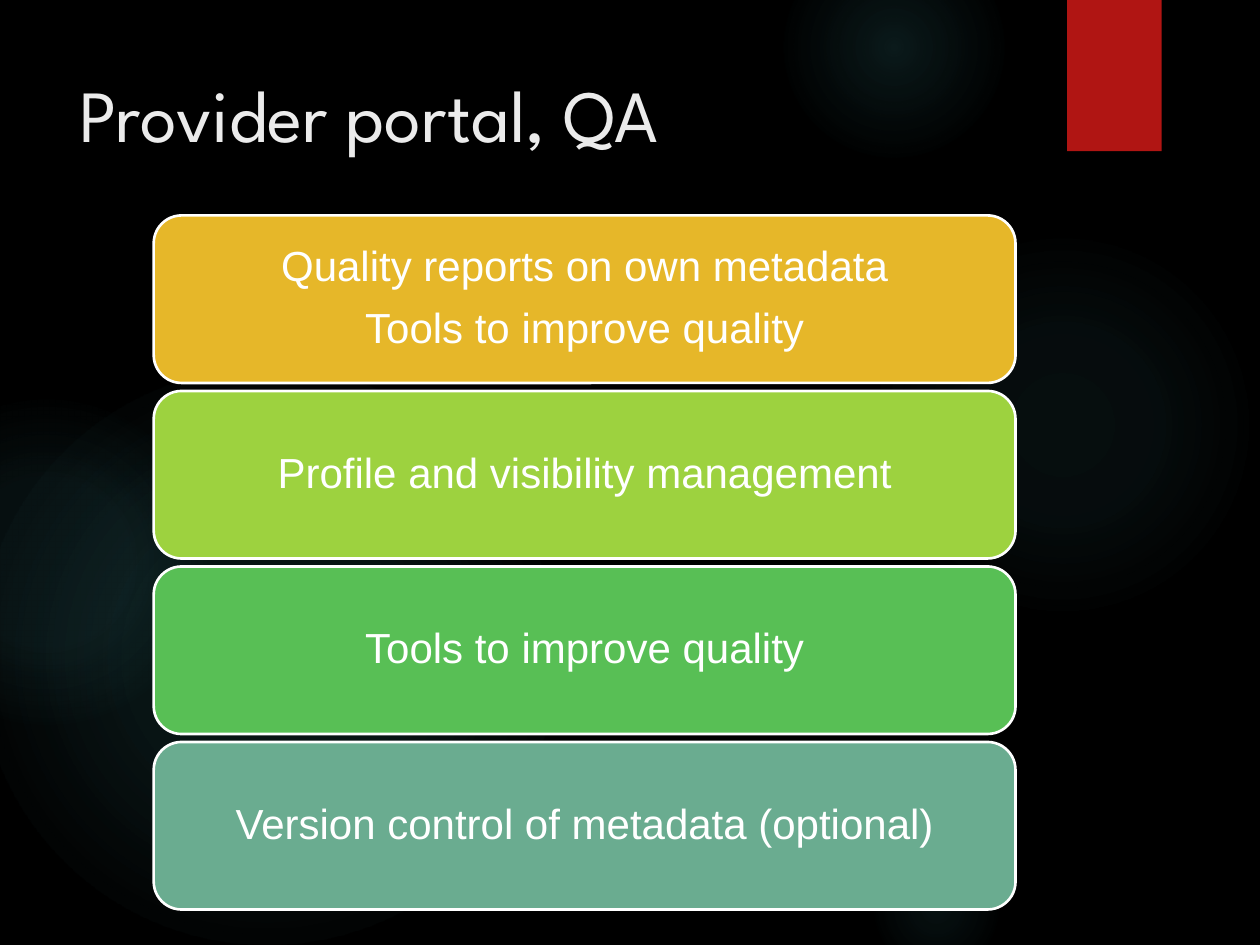
from typing import NamedTuple

import pptx
import pptx.dml.color
import pptx.enum.shapes
import pptx.enum.text
import pptx.oxml
import pptx.oxml.ns
import pptx.util

Inches = pptx.util.Inches
Pt = pptx.util.Pt
SHAPE = pptx.enum.shapes.MSO_SHAPE
ANCHOR = pptx.enum.text.MSO_ANCHOR
ALIGN = pptx.enum.text.PP_ALIGN

GLOW_COLOR = "50B9C1"
WHITE = "FFFFFF"


class Glow(NamedTuple):
    left: float
    top: float
    size: float
    stops: tuple[tuple[int, int], ...]  # (position %, opacity %)


class Feature(NamedTuple):
    color: str
    lines: tuple[str, ...]


GLOWS = [
    Glow(6.89, 1.83, 3.08, ((0, 7), (36, 6), (69, 0))),
    Glow(6.22, -0.5, 1.75, ((0, 14), (36, 7), (73, 0))),
    Glow(6.89, 6.67, 1.08, ((0, 9), (36, 5), (66, 0))),
    Glow(-0.17, 2.92, 4.58, ((0, 11), (36, 10), (75, 0))),
    Glow(-0.92, 3.17, 2.58, ((0, 8), (36, 8), (72, 0))),
]

FEATURES = [
    Feature("E6B729", ("Quality reports on own metadata", "Tools to improve quality")),
    Feature("9DD23F", ("Profile and visibility management",)),
    Feature("58BF55", ("Tools to improve quality",)),
    Feature("6AAC90", ("Version control of metadata (optional)",)),
]
FEATURE_LEFT, FEATURE_TOP = 1.22, 1.71
FEATURE_WIDTH, FEATURE_HEIGHT = 6.84, 1.33
FEATURE_PITCH = 1.393


def rgb(color: str) -> pptx.dml.color.RGBColor:
    return pptx.dml.color.RGBColor.from_string(color)


def add_block(slide, kind, left: float, top: float, width: float, height: float):
    block = slide.shapes.add_shape(
        kind, Inches(left), Inches(top), Inches(width), Inches(height))
    block.shadow.inherit = False
    block.line.fill.background()
    return block


def add_run(paragraph, text: str, font: str, size: float, color: str) -> None:
    run = paragraph.add_run()
    run.text = text
    run.font.name = font
    run.font.size = Pt(size)
    run.font.color.rgb = rgb(color)


def draw_glow(slide, glow: Glow) -> None:
    ellipse = add_block(slide, SHAPE.OVAL, glow.left, glow.top, glow.size, glow.size)
    stops = "".join(
        f'<a:gs pos="{position * 1000}"><a:srgbClr val="{GLOW_COLOR}">'
        f'<a:alpha val="{opacity * 1000}"/></a:srgbClr></a:gs>'
        for position, opacity in glow.stops)
    gradient = pptx.oxml.parse_xml(
        f'<a:gradFill {pptx.oxml.ns.nsdecls("a")} rotWithShape="1">'
        f'<a:gsLst>{stops}</a:gsLst><a:path path="circle">'
        '<a:fillToRect l="50000" t="50000" r="50000" b="50000"/>'
        '</a:path></a:gradFill>')
    geometry = ellipse._element.spPr.find(pptx.oxml.ns.qn("a:prstGeom"))
    geometry.addnext(gradient)


def draw_feature(slide, feature: Feature, top: float) -> None:
    card = add_block(slide, SHAPE.ROUNDED_RECTANGLE,
                     FEATURE_LEFT, top, FEATURE_WIDTH, FEATURE_HEIGHT)
    card.fill.solid()
    card.fill.fore_color.rgb = rgb(feature.color)
    card.line.color.rgb = rgb(WHITE)
    card.line.width = Pt(1.5)

    frame = card.text_frame
    frame.word_wrap = True
    frame.vertical_anchor = ANCHOR.MIDDLE
    for index, line in enumerate(feature.lines):
        paragraph = frame.add_paragraph() if index else frame.paragraphs[0]
        paragraph.alignment = ALIGN.CENTER
        paragraph.line_spacing = 0.9
        paragraph.space_after = Pt(9.5)
        add_run(paragraph, line, "Arial", 24, WHITE)


def main() -> None:
    presentation = pptx.Presentation()
    presentation.slide_width = Inches(10)
    presentation.slide_height = Inches(7.5)
    slide = presentation.slides.add_slide(presentation.slide_layouts[6])

    # Background with soft glows and the red tab
    slide.background.fill.solid()
    slide.background.fill.fore_color.rgb = rgb("000000")
    for glow in GLOWS:
        draw_glow(slide, glow)
    tab = add_block(slide, SHAPE.RECTANGLE, 8.47, 0, 0.75, 1.2)
    tab.fill.solid()
    tab.fill.fore_color.rgb = rgb("B01513")

    # Title
    title = slide.shapes.add_textbox(
        Inches(0.53), Inches(0.5), Inches(7.72), Inches(1.53))
    title.text_frame.word_wrap = True
    title.text_frame.vertical_anchor = ANCHOR.TOP
    add_run(title.text_frame.paragraphs[0], "Provider portal, QA",
            "League Spartan", 42, "EBEBEB")

    # Stacked features
    for row, feature in enumerate(FEATURES):
        draw_feature(slide, feature, FEATURE_TOP + row * FEATURE_PITCH)

    presentation.save("out.pptx")


if __name__ == "__main__":
    main()
